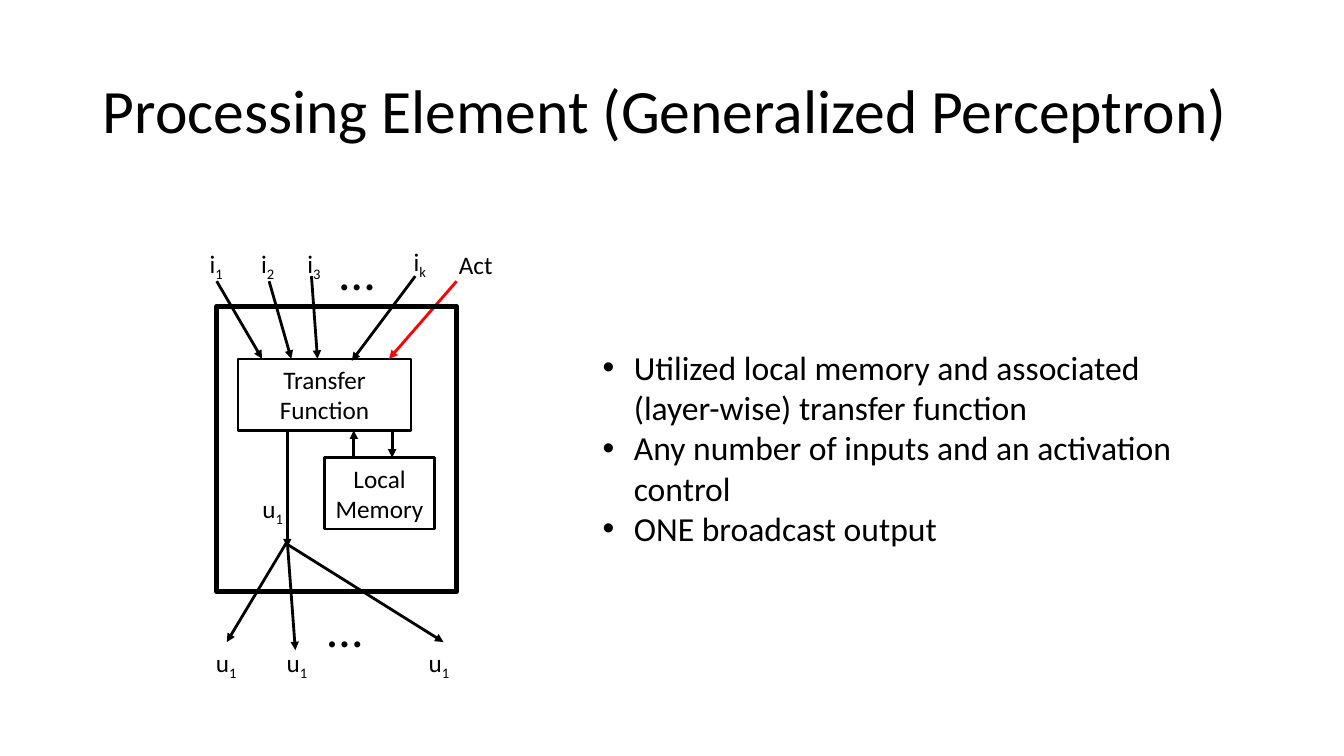
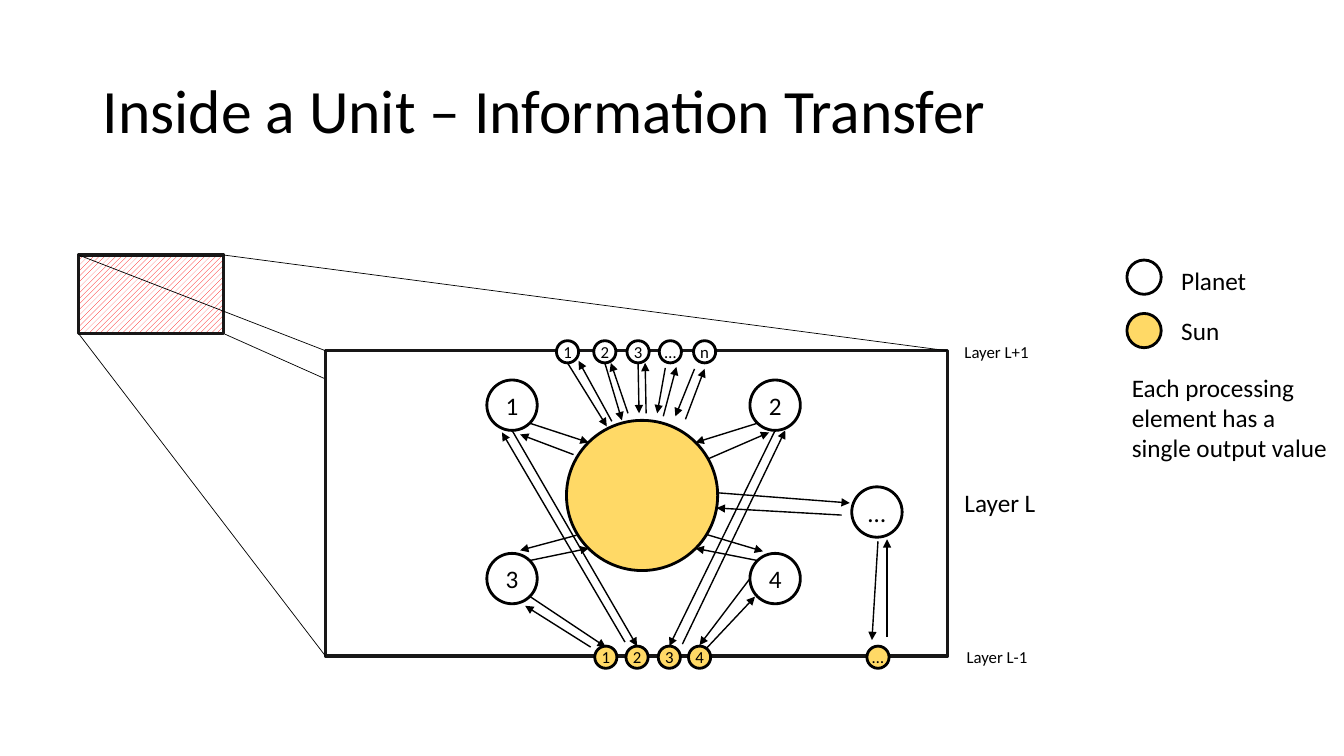
from dataclasses import dataclass
from itertools import product
from pptx import Presentation, util as u
from pptx.dml.color import RGBColor as Rgb
from pptx.enum import dml, shapes, text
from pptx.oxml.ns import qn
from lxml import etree

CELL = u.Inches(0.1)
COLS, ROWS = 133.33, 75
RECT, OVAL = shapes.MSO_SHAPE.RECTANGLE, shapes.MSO_SHAPE.OVAL
LEFT, MID = text.PP_ALIGN.LEFT, text.PP_ALIGN.CENTER
TOP, HALF = text.MSO_ANCHOR.TOP, text.MSO_ANCHOR.MIDDLE


@dataclass(frozen=True)
class Theme:
    font: str = "Calibri"
    black: str = "000000"
    ink: str = "181717"
    white: str = "FFFFFF"
    red: str = "FF0000"
    sun: str = "FFD966"
    title: int = 44
    dots: int = 36
    body: int = 24
    label: int = 18
    small: int = 12


T = Theme()


@dataclass(frozen=True)
class Box:
    x: float
    y: float
    w: float
    h: float

    def sub(self, x, y, w, h):
        return Box(self.x + x, self.y + y, w, h)

    def spot(self, x, y):
        return self.x + x, self.y + y

    def round(self, x, y, size):
        return self.sub(x - size / 2, y - size / 2, size, size)

    def ends(self):
        return list(product((self.x, self.x + self.w),
                            (self.y, self.y + self.h)))

    def emu(self):
        return [u.Emu(round(v * CELL)) for v in (self.x, self.y, self.w, self.h)]


def tag(node, name, **attrs):
    return etree.SubElement(node, qn(name), attrs)


def write(frame, words, size=T.label, color=T.black, align=LEFT, anchor=TOP,
          space=None, pad=None, bullet=None):
    frame.word_wrap = True
    frame.vertical_anchor = anchor
    if pad is not None:
        frame.margin_left = frame.margin_right = pad
        frame.margin_top = frame.margin_bottom = pad
    lines = [words] if isinstance(words, str) else words
    for n, line in enumerate(lines):
        para = frame.add_paragraph() if n else frame.paragraphs[0]
        para.alignment = align
        if space:
            para.line_spacing = space
        for low, part in enumerate(line.split("_")):
            run = para.add_run()
            run.text = part
            run.font.name, run.font.size = T.font, u.Pt(size)
            run.font.color.rgb = Rgb.from_string(color)
            if low:
                run.font._element.set("baseline", "-25000")
        if bullet:
            props = para._p.get_or_add_pPr()
            dent = u.Inches(0.31)
            props.set("marL", str(dent))
            props.set("indent", str(-dent))
            tag(props, "a:buFont", typeface="Arial")
            tag(props, "a:buChar", char=bullet)


def note(slide, box, words, **fmt):
    write(slide.shapes.add_textbox(*box.emu()).text_frame, words, **fmt)


def block(slide, kind, box, fill=None, line=T.black, width=2, words=None, **fmt):
    shape = slide.shapes.add_shape(kind, *box.emu())
    shape.shadow.inherit = False
    if fill:
        shape.fill.solid()
        shape.fill.fore_color.rgb = Rgb.from_string(fill)
    else:
        shape.fill.background()
    shape.line.color.rgb = Rgb.from_string(line)
    shape.line.width = u.Pt(width)
    if words:
        write(shape.text_frame, words, align=MID, anchor=HALF, **fmt)
    return shape


def link(slide, start, end, color=T.black, width=1, head=True):
    spots = [u.Emu(round(v * CELL)) for v in (*start, *end)]
    line = slide.shapes.add_connector(shapes.MSO_CONNECTOR.STRAIGHT, *spots)
    line.line.color.rgb = Rgb.from_string(color)
    line.line.width = u.Pt(width)
    props = line._element.spPr
    if head:
        tag(props.find(qn("a:ln")), "a:tailEnd", type="triangle")
    tag(props, "a:effectLst")


def start(deck, title):
    slide = deck.slides.add_slide(deck.slide_layouts[5])
    head = slide.shapes.title
    head.left, head.top, head.width, head.height = Box(9.2, 4, 115, 14.5).emu()
    write(head.text_frame, title, size=T.title, anchor=HALF, space=0.9)
    return slide


def neuron(slide, area):
    block(slide, RECT, area.sub(8.6, 15.6, 17.2, 7.1), width=1.75,
          words="Transfer Function")
    block(slide, RECT, area.sub(17.2, 25.4, 10.9, 7.1), width=1.75,
          words="Local Memory")
    flows = [
        (20.1, 25.4, 20.1, 22.7), (23.9, 22.7, 23.9, 25.4),
        (13.5, 22.7, 13.5, 34.3),
        (13.5, 33.7, 7.5, 43.7), (13.5, 33.7, 14.3, 44.5),
        (13.5, 34, 29, 43.7),
        (6.5, 7.9, 11, 15.6), (11.7, 7.9, 13.9, 15.6),
        (15.9, 7.4, 16.5, 15.6), (26.2, 7.4, 19.9, 15.8),
    ]
    for a, b, c, d in flows:
        link(slide, area.spot(a, b), area.spot(c, d), width=2)
    link(slide, area.spot(30.3, 7.9), area.spot(23.6, 15.6), T.red, 2)
    for x, y in ((17.7, 3.3), (16.5, 38.7)):
        note(slide, area.sub(x, y, 3.7, 7.1), "…", size=T.dots)
    marks = [
        ("i_1", 4.6, 4.1, 3.7), ("i_2", 9.7, 4.1, 3.7), ("i_3", 14.3, 4.1, 3.7),
        ("i_k", 24.8, 3.9, 3.7), ("Act", 29.3, 4.2, 5.8),
        ("u_1", 5.2, 43.7, 4.5), ("u_1", 12.2, 43.7, 4.5),
        ("u_1", 26.3, 43.7, 4.5), ("u_1", 9.8, 28.4, 4.5),
    ]
    for words, x, y, wide in marks:
        note(slide, area.sub(x, y, wide, 4), words, align=MID)
    block(slide, RECT, area.sub(6.5, 10.4, 23.8, 28.3), width=3.75)


def zoom(slide, thumb, frame):
    beams = list(zip(thumb.ends(), frame.ends()))
    link(slide, *beams.pop(), width=0.5, head=False)
    tile = block(slide, RECT, thumb, line=T.ink, width=2.5)
    tile.fill.patterned()
    tile.fill.pattern = dml.MSO_PATTERN.WIDE_UPWARD_DIAGONAL
    tile.fill.fore_color.rgb = Rgb.from_string(T.red)
    tile.fill.back_color.rgb = Rgb.from_string(T.white)
    block(slide, RECT, frame, fill=T.white, line=T.ink, width=2.5)
    for beam in beams:
        link(slide, *beam, width=0.5, head=False)


def orbit(slide, area):
    block(slide, OVAL, area.sub(26.2, 11.7, 15, 14.9), fill=T.sun)
    nodes = [(x, y) for y, x in product((10.2, 27.4), (20.8, 46.9))]
    for words, spot in zip("1234…", nodes + [(57, 20.8)]):
        block(slide, OVAL, area.round(*spot, 5), fill=T.white, words=words, pad=0)
    rows = [
        (4.9, T.white, "123…n", (26.3, 30, 33.3, 36.5, 39.9)),
        (35.2, T.sun, "1234…", (30.1, 33.2, 36.4, 39.4, 57.1)),
    ]
    for y, fill, names, spots in rows:
        for words, x in zip(names, spots):
            block(slide, OVAL, area.round(x, y, 2.2), fill=fill, words=words,
                  size=T.small, pad=0)
    flows = [
        (22.6, 12, 28.4, 13.9), (22.6, 25.6, 28.4, 24.4),
        (45.1, 12, 39, 13.9), (45.1, 25.6, 39, 24.4),
        (26.9, 15.1, 21.6, 13.1), (27.2, 23.1, 21.6, 24.6),
        (40, 23, 45.7, 24.7), (40.3, 15.5, 46.3, 12.9),
        (41.3, 18.9, 54.3, 19.9), (53.5, 21.1, 41.1, 20.4),
        (44.4, 27.4, 39.4, 34), (40.1, 34.3, 44.9, 29.2),
        (22.6, 29.2, 30.1, 34.2), (28.6, 34.2, 22.1, 30.1),
        (20.8, 12.7, 33.2, 34.1), (32, 33.7, 19.8, 12.9),
        (46.9, 12.7, 36.4, 34.1), (37.7, 33.9, 47.9, 12.7),
        (58, 33.2, 58, 23.5), (57.1, 23.7, 56.5, 33.5),
        (26.3, 6, 30.2, 12.3), (30.7, 11.8, 27.4, 5.8),
        (30, 6, 31.7, 11.7), (32.3, 11, 30.6, 6),
        (33.3, 6, 33.4, 11), (34.1, 11, 34, 6),
        (36, 6.5, 35.2, 11), (35.8, 11.3, 37.1, 6.4),
        (38.9, 6.6, 37, 11.3), (38, 11.6, 39.9, 6.6),
    ]
    for a, b, c, d in flows:
        link(slide, area.spot(a, b), area.spot(c, d))
    for words, x, y, size in (("Layer L+1", 64.7, 3.4, T.small),
                              ("Layer L", 64.7, 17.9, T.label),
                              ("Layer L-1", 64.9, 33.7, T.small)):
        note(slide, area.sub(x, y, 10.3, 4), words, size=size)


def legend(slide, area):
    for n, (words, fill) in enumerate((("Planet", T.white), ("Sun", T.sun))):
        block(slide, OVAL, area.sub(0.5, 5.3 * n, 3.4, 3.4), fill=fill)
        note(slide, area.sub(4.9, 5 * n, 8.8, 4), words)
    note(slide, area.sub(0, 10.6, area.w, 10.1),
         "Each processing element has a single output value")


def element(deck):
    slide = start(deck, "Processing Element (Generalized Perceptron)")
    neuron(slide, Box(15, 20, 36, 48))
    note(slide, Box(58.8, 33.9, 61.9, 21.2), [
        "Utilized local memory and associated (layer-wise) transfer function",
        "Any number of inputs and an activation control",
        "ONE broadcast output",
    ], size=T.body, bullet="•")


def inside(deck):
    slide = start(deck, "Inside a Unit – Information Transfer")
    area = Box(30, 30, 75, 38)
    zoom(slide, Box(7.8, 25.3, 14.4, 7.8), area.sub(2.3, 4.8, 61.7, 30.3))
    orbit(slide, area)
    legend(slide, Box(111.3, 25.8, 22.1, 20.7))


def main():
    deck = Presentation()
    deck.slide_width = u.Emu(round(COLS * CELL))
    deck.slide_height = u.Emu(ROWS * CELL)
    element(deck)
    inside(deck)
    deck.save("out.pptx")


if __name__ == "__main__":
    main()
